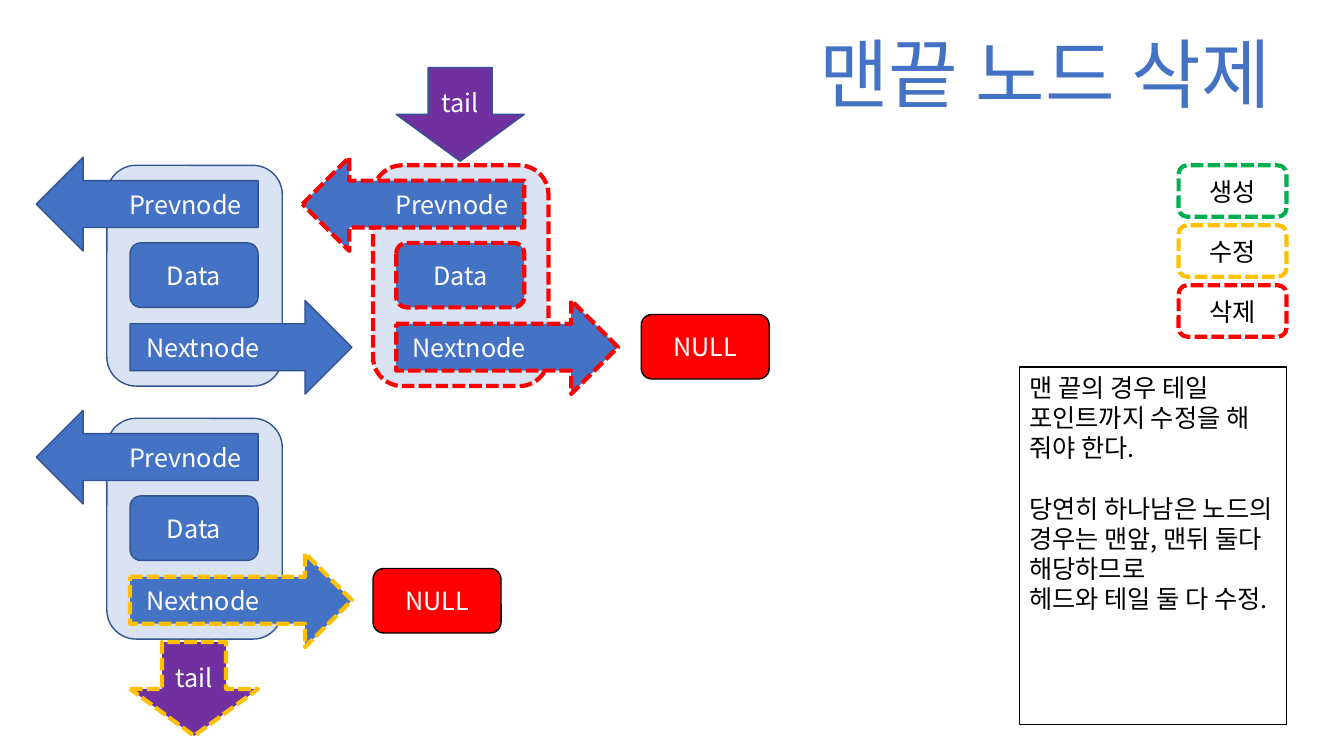
from pptx import Presentation
from pptx.dml.color import RGBColor
from pptx.enum.dml import MSO_LINE
from pptx.enum.shapes import MSO_SHAPE
from pptx.enum.text import MSO_ANCHOR, MSO_AUTO_SIZE, PP_ALIGN
from pptx.oxml.ns import qn
from pptx.util import Inches, Pt

FONT = "Noto Sans CJK KR"
BLUE = RGBColor(0x44, 0x72, 0xC4)
NAVY = RGBColor(0x32, 0x54, 0x91)
PALE = RGBColor(0xDA, 0xE3, 0xF3)
PURPLE = RGBColor(0x70, 0x30, 0xA0)
RED = RGBColor(0xFF, 0x00, 0x00)
AMBER = RGBColor(0xFF, 0xC0, 0x00)
GREEN = RGBColor(0x00, 0xB0, 0x50)
WHITE = RGBColor(0xFF, 0xFF, 0xFF)
BLACK = RGBColor(0x00, 0x00, 0x00)

# Content: a state is the dashed outline colour, None means unchanged
TITLE = "맨끝 노드 삭제"
LEGEND = [("생성", GREEN), ("수정", AMBER), ("삭제", RED)]
NOTES = [
    # text, space before in points
    ("맨 끝의 경우 테일 포인트까지 수정을 해 줘야 한다.", 0),
    ("당연히 하나남은 노드의 경우는 맨앞, 맨뒤 둘다 해당하므로", 21.6),
    ("헤드와 테일 둘 다 수정.", 0),
]
NODES = [
    # left, top, node state, next pointer state
    (1.06, 1.64, None, None),
    (1.06, 4.15, None, AMBER),
    (3.70, 1.64, RED, RED),
]
NULLS = [(6.36, 3.12), (3.70, 5.64)]
TAILS = [(1.29, 6.37, AMBER), (3.93, 0.67, None)]

CELL = (1.27, 0.64)
POINTER = (2.2, 0.93)
LEGEND_LEFT, LEGEND_TOP, LEGEND_STEP = 11.69, 1.64, 0.595

deck = Presentation()
deck.slide_width, deck.slide_height = Inches(13.33), Inches(7.5)
page = deck.slides.add_slide(deck.slide_layouts[5])


def style_text(paragraph, size, color, align):
    paragraph.alignment = align
    for span in paragraph.runs:
        span.font.name = FONT
        span.font.size = Pt(size)
        span.font.color.rgb = color
        east_asian = span.font._element.makeelement(qn("a:ea"), {"typeface": FONT})
        span.font._element.find(qn("a:latin")).addnext(east_asian)


def add_part(kind, left, top, size, fill, state=None, text="",
             color=WHITE, align=PP_ALIGN.CENTER, outline=NAVY):
    part = page.shapes.add_shape(kind, Inches(left), Inches(top), *map(Inches, size))
    part.shadow.inherit = False
    if fill is None:
        part.fill.background()
    else:
        part.fill.solid()
        part.fill.fore_color.rgb = fill
    part.line.color.rgb = state or outline
    part.line.width = Pt(3 if state else 1)
    if state:
        part.line.dash_style = MSO_LINE.SQUARE_DOT
    if text:
        part.text_frame.text = text
        part.text_frame.vertical_anchor = MSO_ANCHOR.MIDDLE
        style_text(part.text_frame.paragraphs[0], 18, color, align)
    return part


def add_node(left, top, state, next_state):
    add_part(MSO_SHAPE.ROUNDED_RECTANGLE, left, top, (1.74, 2.19), PALE, state)
    inner = left + 0.23
    add_part(MSO_SHAPE.ROUNDED_RECTANGLE, inner, top + 0.77, CELL, BLUE, state, "Data")
    following = add_part(MSO_SHAPE.RIGHT_ARROW, inner, top + 1.34, POINTER, BLUE,
                         next_state, "Nextnode", align=PP_ALIGN.LEFT)
    following.text_frame.margin_left = Inches(0.16)
    previous = add_part(MSO_SHAPE.LEFT_ARROW, left - 0.7, top - 0.08, POINTER, BLUE,
                        state, "Prevnode", align=PP_ALIGN.RIGHT)
    previous.text_frame.margin_right = Inches(0.16)


# Title
title = page.shapes.title
title.left, title.top = Inches(7.58), Inches(0.22)
title.width, title.height = Inches(5.57), Inches(1.01)
title.text_frame.text = TITLE
title.text_frame.auto_size = MSO_AUTO_SIZE.NONE
title.text_frame.vertical_anchor = MSO_ANCHOR.TOP
style_text(title.text_frame.paragraphs[0], 54, BLUE, PP_ALIGN.CENTER)

# List before and after the deletion
for node in NODES:
    add_node(*node)

# Legend
for row, (label, state) in enumerate(LEGEND):
    add_part(MSO_SHAPE.ROUNDED_RECTANGLE, LEGEND_LEFT, LEGEND_TOP + row * LEGEND_STEP,
             (1.07, 0.51), None, state, label, BLACK)

# Explanation
note = add_part(MSO_SHAPE.RECTANGLE, 10.11, 3.64, (2.65, 3.55), WHITE, outline=BLACK)
note.text_frame.word_wrap = True
note.text_frame.vertical_anchor = MSO_ANCHOR.TOP
note.text_frame.text = "\n".join(text for text, _ in NOTES)
for paragraph, (_, gap) in zip(note.text_frame.paragraphs, NOTES):
    paragraph.space_before = Pt(gap)
    style_text(paragraph, 18, BLACK, PP_ALIGN.LEFT)

# List ends and tail pointers
for left, top in NULLS:
    add_part(MSO_SHAPE.ROUNDED_RECTANGLE, left, top, CELL, RED, text="NULL", outline=BLACK)
for left, top, state in TAILS:
    add_part(MSO_SHAPE.DOWN_ARROW, left, top, (1.27, 0.93), PURPLE, state, "tail")

deck.save("out.pptx")
